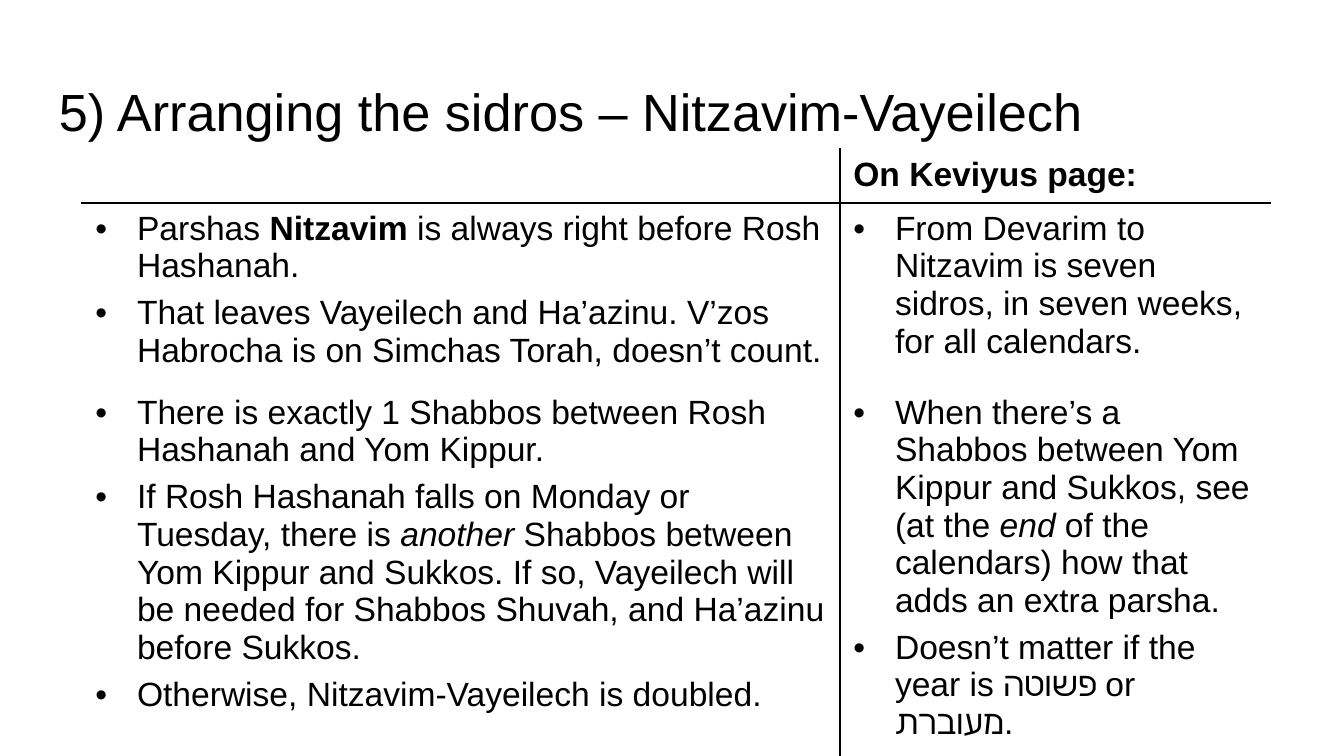
from typing import NamedTuple, Optional

from lxml.etree import SubElement
from pptx import Presentation
from pptx.dml.color import RGBColor
from pptx.oxml import parse_xml
from pptx.oxml.ns import nsdecls, qn
from pptx.util import Inches, Pt

COLORS = {"ink": "000000", "paper": "FFFFFF"}
FONT = "Arial"
BODY_SIZE = 18
INDENT = Inches(0.31)
COLUMN_WIDTHS = (5.64, 3.2)
ROW_HEIGHTS = (0.39, 1.27, 2.63)


class Span(NamedTuple):
    text: str
    bold: bool = False
    italic: bool = False


class Entry(NamedTuple):
    spans: tuple[Span, ...]
    bullet: bool = True


def plain(text: str) -> Entry:
    return Entry((Span(text),))


GRID: tuple[tuple[tuple[Entry, ...], ...], ...] = (
    (
        (),
        (Entry((Span("On Keviyus page:", bold=True),), bullet=False),),
    ),
    (
        (
            Entry((
                Span("Parshas "),
                Span("Nitzavim", bold=True),
                Span(" is always right before Rosh Hashanah."),
            )),
            plain("That leaves Vayeilech and Ha’azinu. V’zos Habrocha is on "
                  "Simchas Torah, doesn’t count."),
        ),
        (
            plain("From Devarim to Nitzavim is seven sidros, in seven weeks, "
                  "for all calendars."),
        ),
    ),
    (
        (
            plain("There is exactly 1 Shabbos between Rosh Hashanah and Yom Kippur."),
            Entry((
                Span("If Rosh Hashanah falls on Monday or Tuesday, there is "),
                Span("another ", italic=True),
                Span("Shabbos between Yom Kippur and Sukkos. If so, Vayeilech will be "
                     "needed for Shabbos Shuvah, and Ha’azinu before Sukkos."),
            )),
            plain("Otherwise, Nitzavim-Vayeilech is doubled."),
        ),
        (
            Entry((
                Span("When there’s a Shabbos between Yom Kippur and Sukkos, see (at the "),
                Span("end", italic=True),
                Span(" of the calendars) how that adds an extra parsha."),
            )),
            plain("Doesn’t matter if the year is פשוטה or מעוברת."),
        ),
    ),
)


def add_span(paragraph, span: Span, size: float) -> None:
    run = paragraph.add_run()
    run.text = span.text
    run.font.name = FONT
    run.font.size = Pt(size)
    run.font.bold = span.bold
    run.font.italic = span.italic
    run.font.color.rgb = RGBColor.from_string(COLORS["ink"])


def add_bullet(paragraph) -> None:
    properties = paragraph._p.get_or_add_pPr()
    properties.set("marL", str(INDENT))
    properties.set("indent", str(-INDENT))
    color = SubElement(properties, qn("a:buClr"))
    SubElement(color, qn("a:srgbClr")).set("val", COLORS["ink"])
    SubElement(properties, qn("a:buFont")).set("typeface", FONT)
    SubElement(properties, qn("a:buChar")).set("char", "•")


def write_entries(cell, entries: tuple[Entry, ...]) -> None:
    frame = cell.text_frame
    for index, entry in enumerate(entries):
        paragraph = frame.add_paragraph() if index else frame.paragraphs[0]
        if entry.bullet:
            add_bullet(paragraph)
        paragraph.space_before = Pt(5 if index else 0)
        for span in entry.spans:
            add_span(paragraph, span, BODY_SIZE)


def border_xml(tag: str, color: Optional[str]) -> str:
    fill = (f'<a:solidFill><a:srgbClr val="{COLORS[color]}"/></a:solidFill>'
            if color else "<a:noFill/>")
    return f'<a:{tag} {nsdecls("a")} w="{Pt(1)}">{fill}</a:{tag}>'


def set_borders(cell, row: int, column: int) -> None:
    """Rule the column divider and the line under the header in ink."""
    borders = {
        "lnL": "ink" if column == 1 else "paper",
        "lnR": "ink" if column == 0 else "paper",
        "lnT": ("paper", "ink", None)[row],
        "lnB": ("ink", None, None)[row],
    }
    properties = cell._tc.get_or_add_tcPr()
    for position, (tag, color) in enumerate(borders.items()):
        properties.insert(position, parse_xml(border_xml(tag, color)))


def add_title(slide, text: str) -> None:
    box = slide.shapes.add_textbox(Inches(0.34), Inches(0.49), Inches(9.32), Inches(0.63))
    frame = box.text_frame
    frame.word_wrap = True
    frame.margin_left = frame.margin_right = Inches(0.1)
    frame.margin_top = frame.margin_bottom = Inches(0.1)
    add_span(frame.paragraphs[0], Span(text), 28)


def add_sidros_table(slide) -> None:
    table = slide.shapes.add_table(
        len(ROW_HEIGHTS), len(COLUMN_WIDTHS), Inches(0.61), Inches(1.11),
        Inches(sum(COLUMN_WIDTHS)), Inches(sum(ROW_HEIGHTS))).table
    table.first_row = table.horz_banding = False
    for column, width in zip(table.columns, COLUMN_WIDTHS):
        column.width = Inches(width)
    for row, height in zip(table.rows, ROW_HEIGHTS):
        row.height = Inches(height)
    for row_index, row_entries in enumerate(GRID):
        for column_index, entries in enumerate(row_entries):
            cell = table.cell(row_index, column_index)
            cell.fill.background()
            set_borders(cell, row_index, column_index)
            write_entries(cell, entries)


def main() -> None:
    presentation = Presentation()
    presentation.slide_width = Inches(10)
    presentation.slide_height = presentation.slide_width * 9 // 16
    slide = presentation.slides.add_slide(presentation.slide_layouts[6])
    add_title(slide, "5) Arranging the sidros – Nitzavim-Vayeilech")
    add_sidros_table(slide)
    presentation.save("out.pptx")


if __name__ == "__main__":
    main()
